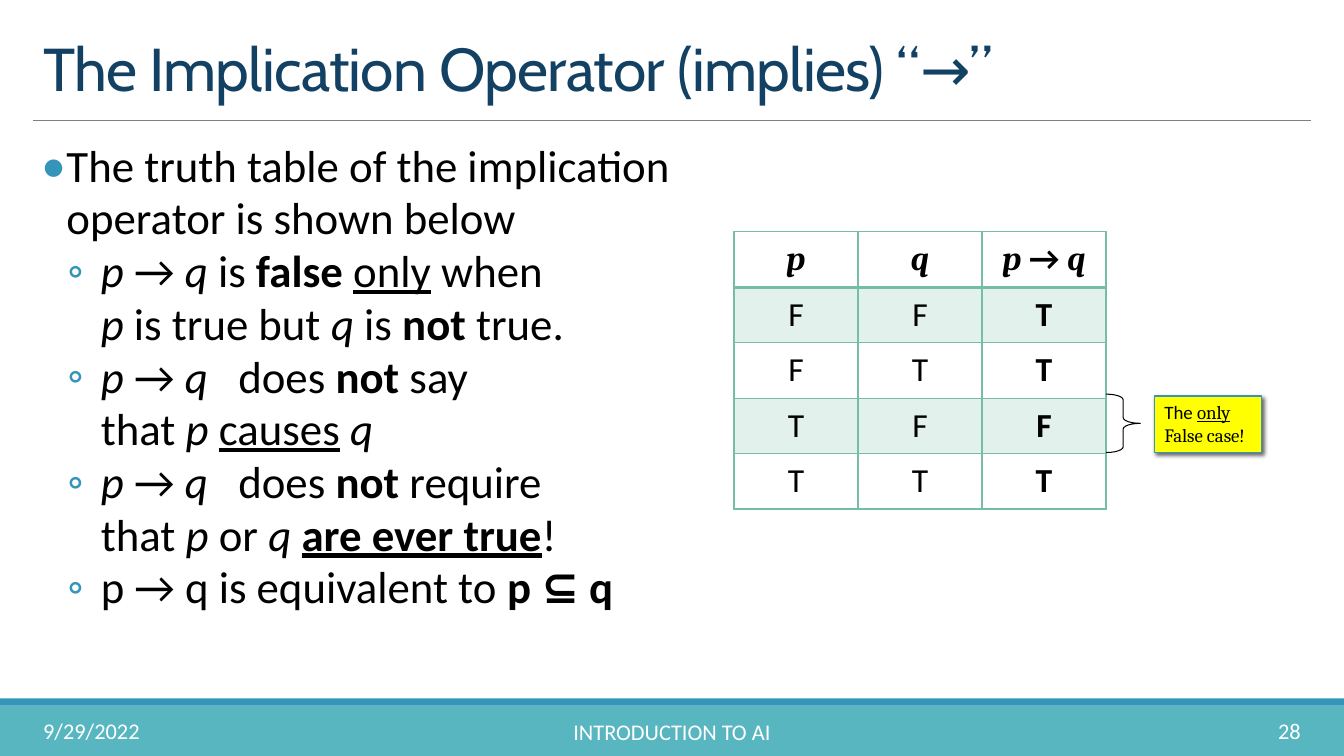
from dataclasses import dataclass

import lxml.etree
import pptx
import pptx.dml.color
import pptx.enum.shapes
import pptx.enum.text
import pptx.oxml
import pptx.oxml.ns
import pptx.util

Inches = pptx.util.Inches
Pt = pptx.util.Pt
qn = pptx.oxml.ns.qn
ALIGN = pptx.enum.text.PP_ALIGN
ANCHOR = pptx.enum.text.MSO_ANCHOR
SHAPE = pptx.enum.shapes.MSO_SHAPE

COLORS = {
    "teal": "58B6C0", "blue": "3494BA", "navy": "134163", "green": "75BDA7",
    "gray": "808080", "black": "000000", "white": "FFFFFF", "yellow": "FFFF00",
}
GAP_SPACING = 1450
BODY_SIZE = 32


@dataclass
class Run:
    text: str
    style: str = ""
    font: str = "Calibri"


@dataclass
class Bullet:
    runs: list[Run]
    level: int = 1


@dataclass
class Label:
    text: str
    box: tuple[float, float, float, float]
    align: ALIGN = ALIGN.LEFT
    anchor: ANCHOR = ANCHOR.MIDDLE
    size: float = 16
    font: str = "Calibri"
    color: str = "white"
    spacing: int = 0


def implies(gap: bool = False) -> list[Run]:
    end = [Run("q", "i"), Run(" ", "g")] if gap else [Run("q ", "i")]
    return [Run("p ", "i"), Run("→ ")] + end


BULLETS = [
    Bullet([Run("The truth table of the implication operator is shown below")], 0),
    Bullet(implies() + [Run("is "), Run("false ", "b"), Run("only", "u"), Run(" when\n"),
                        Run("p", "i"), Run(" is true but "), Run("q", "i"), Run(" is "),
                        Run("not", "b"), Run(" true.")]),
    Bullet(implies(True) + [Run("does "), Run("not ", "b"), Run("say\nthat "), Run("p ", "i"),
                            Run("causes", "u"), Run(" "), Run("q", "i")]),
    Bullet(implies(True) + [Run("does "), Run("not ", "b"), Run("require\nthat "), Run("p", "i"),
                            Run(" or "), Run("q ", "i"), Run("are ever true", "bu"), Run("!")]),
    Bullet([Run("p → q is equivalent to "), Run("p ⊆ q", "b")]),
]
HEADER = [
    [Run("p", "bi", "Cambria")],
    [Run("q", "bi", "Cambria")],
    [Run("p ", "bi", "Cambria"), Run("→ ", "b"), Run("q", "bi", "Cambria")],
]
TRUTH_ROWS = ["FFT", "FTT", "TFF", "TTT"]
NOTE = [Run("The "), Run("only\n", "u", "Cambria"), Run("False case!", "", "Cambria")]
LABELS = [
    Label("The Implication Operator (implies) “→”", (0.33, 0.31, 12.67, 0.77),
          anchor=ANCHOR.BOTTOM, size=43.2, font="Cabin", color="navy", spacing=-50),
    Label("9/29/2022", (0.33, 7.05, 2.7, 0.4)),
    Label("INTRODUCTION TO AI", (4.03, 7.06, 5.27, 0.4), ALIGN.CENTER),
    Label("28", (11.57, 7.05, 1.43, 0.4), ALIGN.RIGHT),
]


def rgb(name: str) -> pptx.dml.color.RGBColor:
    return pptx.dml.color.RGBColor.from_string(COLORS[name])


def xml(body: str) -> lxml.etree._Element:
    ns = pptx.oxml.ns.nsdecls("a")
    tag, rest = body[1:].split(" ", 1)
    return pptx.oxml.parse_xml(f"<{tag} {ns} {rest}")


def format_run(r, size: float, font: str, color: str, style: str = "") -> None:
    r.font.size = Pt(size)
    r.font.name = font
    r.font.color.rgb = rgb(color)
    r.font.bold = "b" in style
    r.font.italic = "i" in style
    r.font.underline = "u" in style
    if "g" in style:
        r.font._element.set("spc", str(GAP_SPACING))


def write_runs(p, runs: list[Run], size: float) -> None:
    for run in runs:
        for i, part in enumerate(run.text.split("\n")):
            if i:
                p.add_line_break()
            if part:
                r = p.add_run()
                r.text = part
                format_run(r, size, run.font, "black", run.style)


def add_label(slide, label: Label) -> None:
    tf = slide.shapes.add_textbox(*map(Inches, label.box)).text_frame
    tf.word_wrap = True
    tf.vertical_anchor = label.anchor
    p = tf.paragraphs[0]
    p.text = label.text
    p.alignment = label.align
    r = p.runs[0]
    format_run(r, label.size, label.font, label.color)
    if label.spacing:
        p.line_spacing = 0.85
        r.font._element.set("spc", str(label.spacing))


def add_block(slide, kind, box: tuple, fill: str | None, line: str | None, width: float = 1):
    sp = slide.shapes.add_shape(kind, *map(Inches, box))
    sp.shadow.inherit = False
    if fill:
        sp.fill.solid()
        sp.fill.fore_color.rgb = rgb(fill)
    else:
        sp.fill.background()
    if line:
        sp.line.color.rgb = rgb(line)
        sp.line.width = Pt(width)
    else:
        sp.line.fill.background()
    return sp


def add_bullets(slide) -> None:
    tf = slide.shapes.add_textbox(*map(Inches, (0.33, 1.34, 7.26, 5.49))).text_frame
    tf.word_wrap = True
    tf.margin_left = tf.margin_right = 0
    for i, bullet in enumerate(BULLETS):
        p = tf.paragraphs[0] if i == 0 else tf.add_paragraph()
        p.level = bullet.level
        p.line_spacing = 0.98
        margin, indent, size, char = [(0.33, -0.25, 110, "•"), (0.67, -0.33, 100, "◦")][bullet.level]
        pr = p._p.get_or_add_pPr()
        pr.set("marL", str(Inches(margin)))
        pr.set("indent", str(Inches(indent)))
        pr.append(xml(f'<a:buClr ><a:srgbClr val="{COLORS["blue"]}"/></a:buClr>'))
        pr.append(xml(f'<a:buSzPct val="{size * 1000}"/>'))
        pr.append(xml('<a:buFont typeface="Calibri"/>'))
        pr.append(xml(f'<a:buChar char="{char}"/>'))
        write_runs(p, bullet.runs, BODY_SIZE)


def style_cell(cell, row: int) -> None:
    cell.margin_left = cell.margin_right = cell.margin_top = cell.margin_bottom = 0
    cell.vertical_anchor = ANCHOR.MIDDLE
    pr = cell._tc.get_or_add_tcPr()
    for side in "LRTB":
        heavy = (row, side) in [(0, "B"), (1, "T")]
        pr.append(xml(f'<a:ln{side} w="{Pt(2 if heavy else 1)}"><a:solidFill>'
                      f'<a:srgbClr val="{COLORS["green"]}"/></a:solidFill></a:ln{side}>'))
    if row % 2:
        cell.fill.solid()
        cell.fill.fore_color.rgb = rgb("green")
        pr.find(qn("a:solidFill"))[0].append(xml('<a:alpha val="20000"/>'))
    else:
        cell.fill.background()


def add_truth_table(slide) -> None:
    rows = [HEADER] + [[[Run(v, "b" if c == 2 else "")] for c, v in enumerate(values)]
                       for values in TRUTH_ROWS]
    table = slide.shapes.add_table(len(rows), 3, *map(Inches, (7.28, 2.3, 3.69, 2.74))).table
    for column in table.columns:
        column.width = Inches(1.23)
    for i, row in enumerate(rows):
        table.rows[i].height = Inches(0.55)
        for j, runs in enumerate(row):
            cell = table.cell(i, j)
            style_cell(cell, i)
            p = cell.text_frame.paragraphs[0]
            p.alignment = ALIGN.CENTER
            write_runs(p, runs, 24)


def add_note(slide) -> None:
    brace = add_block(slide, SHAPE.RIGHT_BRACE, (10.97, 3.91, 0.34, 0.58), None, "black", 0.75)
    brace.adjustments[0] = 0.167
    sp = add_block(slide, SHAPE.RECTANGLE, (11.45, 3.93, 1.06, 0.56), "yellow", "blue")
    sp._element.spPr.find(qn("a:effectLst")).append(xml(
        f'<a:outerShdw blurRad="{Pt(3)}" dist="{Pt(2)}" dir="2700000" algn="tl" rotWithShape="0">'
        f'<a:srgbClr val="{COLORS["black"]}"><a:alpha val="60000"/></a:srgbClr></a:outerShdw>'))
    tf = sp.text_frame
    tf.word_wrap = True
    tf.auto_size = pptx.enum.text.MSO_AUTO_SIZE.SHAPE_TO_FIT_TEXT
    tf.vertical_anchor = ANCHOR.TOP
    p = tf.paragraphs[0]
    p.alignment = ALIGN.LEFT
    write_runs(p, NOTE, 13.5)


def main() -> None:
    prs = pptx.Presentation()
    prs.slide_width, prs.slide_height = Inches(13.33), Inches(7.5)
    slide = prs.slides.add_slide(prs.slide_layouts[6])
    add_block(slide, SHAPE.RECTANGLE, (0, 7, 13.33, 0.5), "teal", None)
    add_block(slide, SHAPE.RECTANGLE, (0, 6.93, 13.33, 0.07), "blue", None)
    rule = slide.shapes.add_connector(pptx.enum.shapes.MSO_CONNECTOR.STRAIGHT,
                                      *map(Inches, (0.33, 1.19, 13, 1.19)))
    rule.line.color.rgb = rgb("gray")
    rule.line.width = Pt(0.5)
    rule._element.spPr.append(xml("<a:effectLst />"))
    for label in LABELS:
        add_label(slide, label)
    add_bullets(slide)
    add_truth_table(slide)
    add_note(slide)
    prs.save("out.pptx")


if __name__ == "__main__":
    main()
